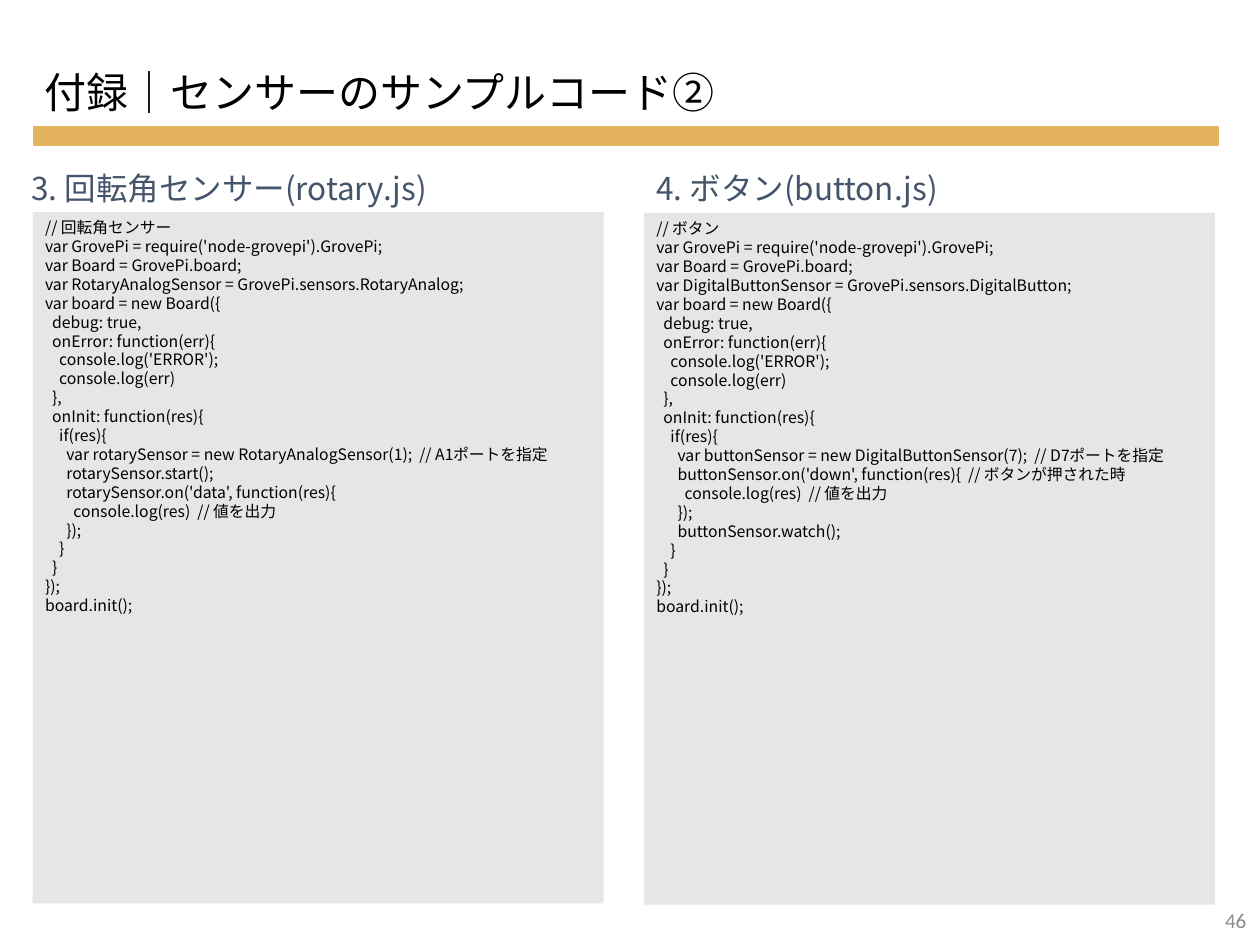
from pptx import Presentation
from pptx.dml.color import RGBColor
from pptx.enum.shapes import MSO_SHAPE as SHAPE
from pptx.enum.text import MSO_ANCHOR as ANCHOR, MSO_AUTO_SIZE as FIT, PP_ALIGN as ALIGN
from pptx.oxml.ns import qn
from pptx.util import Pt

TITLE = "付録｜センサーのサンプルコード②"
PAGE = "46"
CODE = """// {comment}
var GrovePi = require('node-grovepi').GrovePi;
var Board = GrovePi.board;
var {cls} = GrovePi.sensors.{sensor};
var board = new Board({{
  debug: true,
  onError: function(err){{
    console.log('ERROR');
    console.log(err)
  }},
  onInit: function(res){{
    if(res){{
{body}
    }}
  }}
}});
board.init();"""
ROTARY_BODY = """      var rotarySensor = new RotaryAnalogSensor(1);  // A1ポートを指定
      rotarySensor.start();
      rotarySensor.on('data', function(res){
        console.log(res)  // 値を出力
      });"""
BUTTON_BODY = """      var buttonSensor = new DigitalButtonSensor(7);  // D7ポートを指定
      buttonSensor.on('down', function(res){  // ボタンが押された時
        console.log(res)  // 値を出力
      });
      buttonSensor.watch();"""
SAMPLES = [
    dict(heading="3. 回転角センサー(rotary.js)", heading_x=10.8, heading_w=270.7,
         panel_x=18.7, panel_y=121,
         code=CODE.format(comment="回転角センサー", cls="RotaryAnalogSensor",
                          sensor="RotaryAnalog", body=ROTARY_BODY)),
    dict(heading="4. ボタン(button.js)", heading_x=368, heading_w=204.5,
         panel_x=368, panel_y=121.7,
         code=CODE.format(comment="ボタン", cls="DigitalButtonSensor",
                          sensor="DigitalButton", body=BUTTON_BODY)),
]
THEME = dict(font="Noto Sans CJK JP", number_font="Calibri", leading=1.2,
             title=24, heading=18, code=9, number=12,
             black="000000", navy="44546A", gray="8C8C8C", gold="E2B25C", panel="E7E6E6")
PANEL_W, PANEL_H = 326.2, 395.3


def rgb(name):
    return RGBColor.from_string(THEME[name])


def write(sp, text, size, color="black", font="font", align=ALIGN.LEFT,
          anchor=ANCHOR.TOP, wrap=True, fit=FIT.NONE):
    tf = sp.text_frame
    tf.text = text
    tf.word_wrap, tf.auto_size, tf.vertical_anchor = wrap, fit, anchor
    for p in tf.paragraphs:
        p.alignment = align
        p.line_spacing = Pt(THEME[size] * THEME["leading"])
        for r in p.runs:
            r.font.name, r.font.size = THEME[font], Pt(THEME[size])
            r.font.color.rgb = rgb(color)
            ea = r.font._element.makeelement(qn("a:ea"), {"typeface": THEME[font]})
            r.font._element.find(qn("a:latin")).addnext(ea)


def add_rect(s, box, fill):
    sp = s.shapes.add_shape(SHAPE.RECTANGLE, *map(Pt, box))
    sp.shadow.inherit = False
    sp.fill.solid()
    sp.fill.fore_color.rgb = rgb(fill)
    sp.line.fill.background()
    return sp


def main():
    prs = Presentation()
    prs.slide_width, prs.slide_height = Pt(720), Pt(540)
    s = prs.slides.add_slide(prs.slide_layouts[5])

    bar = add_rect(s, (19.4, 72.7, 676.8, 10.1), "gold")
    bar.line.color.rgb = rgb("gold")
    bar.line.width = Pt(1)

    title = s.shapes.title
    title.left, title.top, title.width, title.height = map(Pt, (18, 34.6, 676, 36.7))
    write(title, TITLE, "title")

    number = s.shapes.add_textbox(*map(Pt, (551.5, 511.2, 167.8, 28.8)))
    write(number, PAGE, "number", "gray", "number_font", ALIGN.RIGHT, ANCHOR.MIDDLE)

    for sample in SAMPLES:
        box = (sample["heading_x"], 92.9, sample["heading_w"], 28.8)
        heading = s.shapes.add_textbox(*map(Pt, box))
        write(heading, sample["heading"], "heading", "navy", wrap=False, fit=FIT.SHAPE_TO_FIT_TEXT)
        panel = add_rect(s, (sample["panel_x"], sample["panel_y"], PANEL_W, PANEL_H), "panel")
        write(panel, sample["code"], "code")

    prs.save("out.pptx")


if __name__ == "__main__":
    main()
